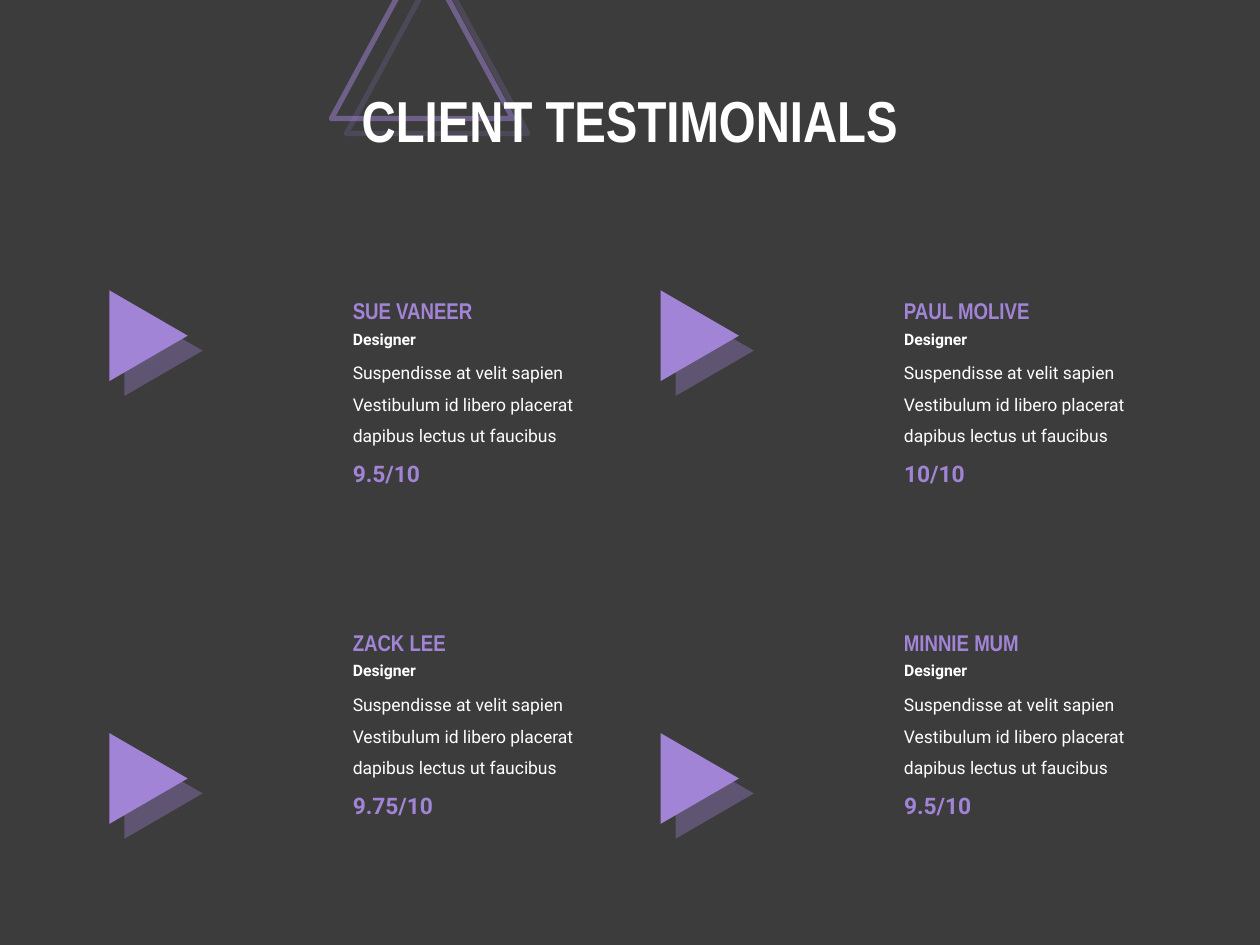
from lxml.etree import SubElement
from pptx import Presentation
from pptx.dml.color import RGBColor
from pptx.enum.shapes import MSO_SHAPE
from pptx.enum.text import MSO_ANCHOR, MSO_AUTO_SIZE, PP_ALIGN
from pptx.oxml.ns import qn
from pptx.util import Pt

DARK = RGBColor(0x3C, 0x3C, 0x3C)
PURPLE = RGBColor(0xA2, 0x84, 0xD7)
WHITE = RGBColor(0xFF, 0xFF, 0xFF)
HEAD_FONT, BODY_FONT = "Arial Narrow", "Roboto"

TITLE = "CLIENT TESTIMONIALS"
ROLE = "Designer"
QUOTE = "Suspendisse at velit sapien Vestibulum id libero placerat dapibus lectus ut faucibus"
CLIENTS = [
    [("SUE VANEER", "9.5/10"), ("PAUL MOLIVE", "10/10")],
    [("ZACK LEE", "9.75/10"), ("MINNIE MUM", "9.5/10")],
]

COL_STEP, TEXT_STEP, ARROW_STEP = 315, 189.7, 253
TEXT_LEFT, TEXT_TOP = 194.5, 166.2
ARROW_LEFT, ARROW_TOP, ARROW_W, ARROW_H = 59, 169.5, 51.8, 44.7


def add_text(slide, text, x, y, w, h, font, size, color, bold=True, spacing=None):
    box = slide.shapes.add_textbox(Pt(x), Pt(y), Pt(w), Pt(h))
    tf = box.text_frame
    tf.word_wrap = True
    tf.auto_size = MSO_AUTO_SIZE.SHAPE_TO_FIT_TEXT
    tf.text = text
    p = tf.paragraphs[0]
    p.line_spacing = spacing
    f = p.runs[0].font
    f.name, f.size, f.bold = font, Pt(size), bold
    f.color.rgb = color
    return tf


def set_alpha(color, percent):
    SubElement(color, qn("a:alpha"), val=str(percent * 1000))


def add_triangle(slide, x, y, w, h):
    sp = slide.shapes.add_shape(MSO_SHAPE.ISOSCELES_TRIANGLE, Pt(x), Pt(y), Pt(w), Pt(h))
    sp.shadow.inherit = False
    effects = sp._element.spPr.find(qn("a:effectLst"))
    shadow = SubElement(effects, qn("a:outerShdw"), blurRad="0", dist=str(Pt(12.1)),
                        dir=str(45 * 60000), algn="tl", rotWithShape="0")
    set_alpha(SubElement(shadow, qn("a:srgbClr"), val=str(PURPLE)), 35)
    return sp


def main():
    prs = Presentation()
    prs.slide_width, prs.slide_height = Pt(720), Pt(540)
    slide = prs.slides.add_slide(prs.slide_layouts[6])
    slide.background.fill.solid()
    slide.background.fill.fore_color.rgb = DARK

    outline = add_triangle(slide, 189.4, -28, 103.7, 95.8)
    outline.fill.background()
    outline.line.color.rgb = PURPLE
    outline.line.width = Pt(3)
    set_alpha(outline.line._ln.find(".//" + qn("a:srgbClr")), 50)

    tf = add_text(slide, TITLE, 176.4, 35.3, 367.2, 70.6, HEAD_FONT, 33, WHITE, spacing=0.9)
    tf.auto_size = MSO_AUTO_SIZE.NONE
    tf.vertical_anchor = MSO_ANCHOR.MIDDLE
    tf.paragraphs[0].alignment = PP_ALIGN.CENTER

    for row, clients in enumerate(CLIENTS):
        for col, (name, score) in enumerate(clients):
            x = TEXT_LEFT + col * COL_STEP
            y = TEXT_TOP + row * TEXT_STEP
            add_text(slide, QUOTE, x, y + 31.2, 153.4, 61.2, BODY_FONT, 10, WHITE, False, 1.5)
            add_text(slide, name, x, y, 100, 23, HEAD_FONT, 13, PURPLE)
            add_text(slide, ROLE, x, y + 18.4, 56.2, 18, BODY_FONT, 9, WHITE).word_wrap = False
            add_text(slide, score, x, y + 92.8, 80.6, 23, BODY_FONT, 13, PURPLE)

            arrow = add_triangle(slide, ARROW_LEFT + col * COL_STEP,
                                 ARROW_TOP + row * ARROW_STEP, ARROW_W, ARROW_H)
            arrow.rotation = 90
            arrow.fill.solid()
            arrow.fill.fore_color.rgb = PURPLE
            arrow.line.fill.background()

    prs.save("out.pptx")


if __name__ == "__main__":
    main()
